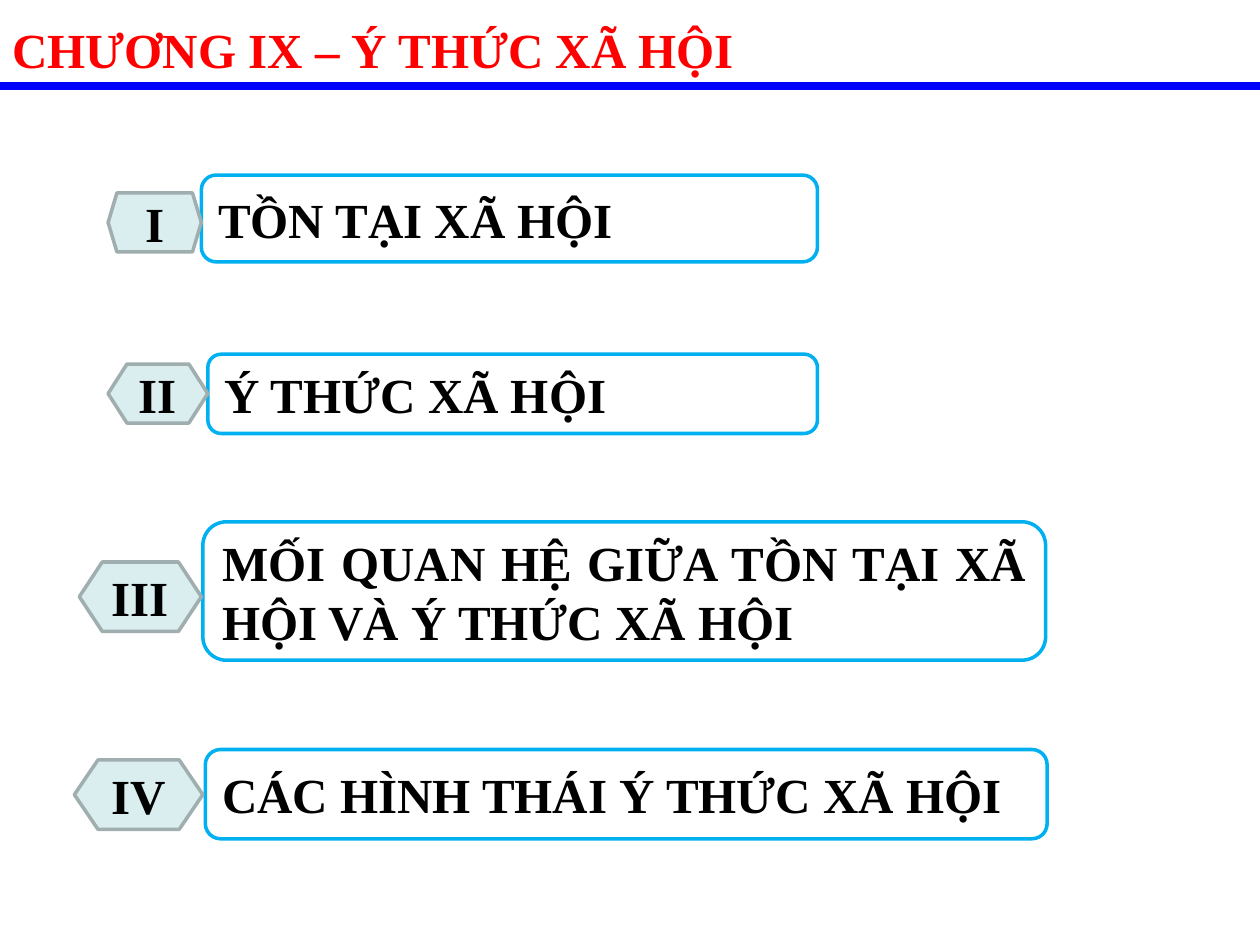
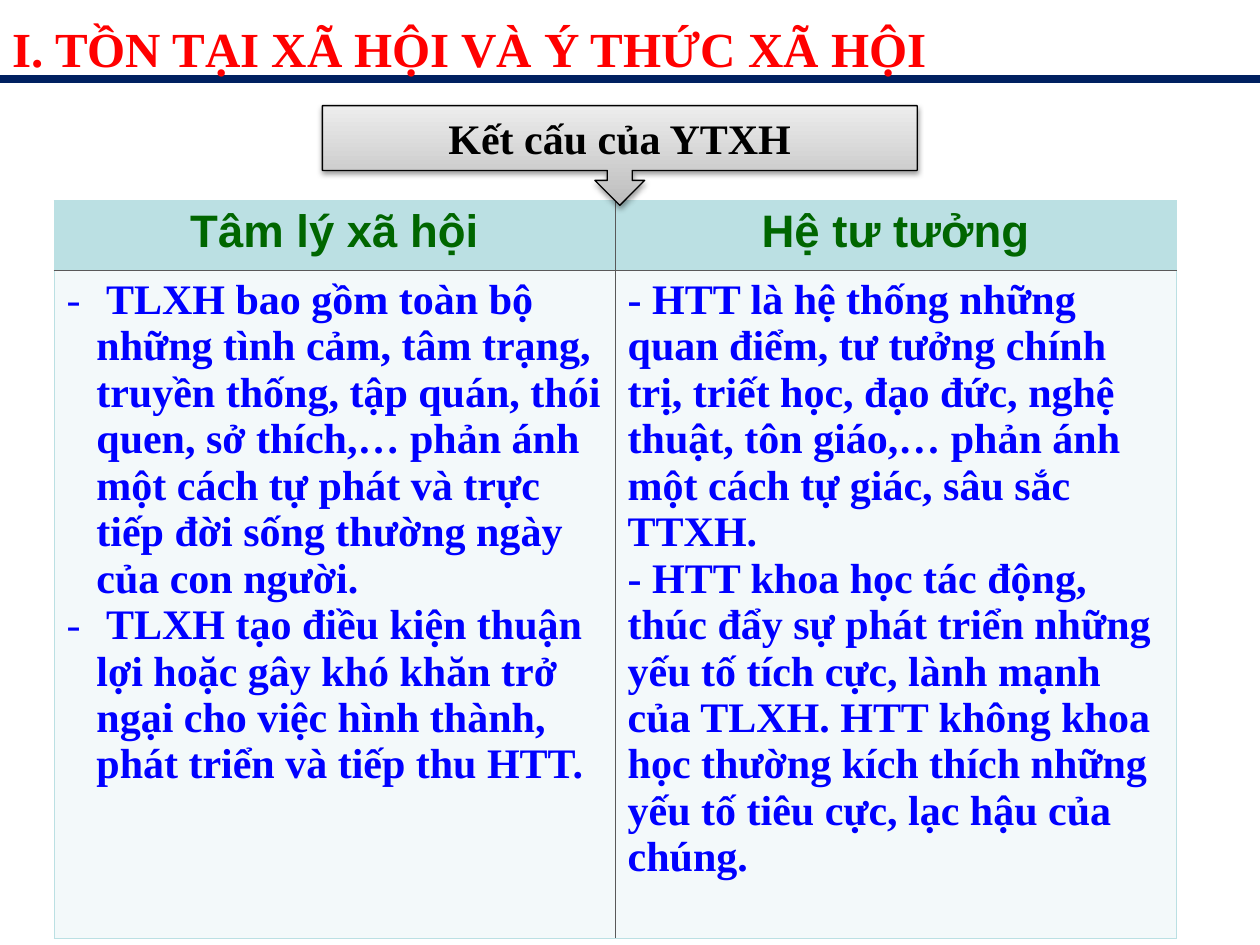
from lxml.etree import SubElement
from pptx import Presentation
from pptx.dml.color import RGBColor
from pptx.enum.shapes import MSO_CONNECTOR, MSO_SHAPE
from pptx.enum.text import MSO_ANCHOR, MSO_AUTO_SIZE, PP_ALIGN as Align
from pptx.oxml.ns import qn
from pptx.util import Cm, Pt

COLORS = {
    "title": "FF0000", "blue": "0000FF", "navy": "002060", "text": "000000",
    "box_fill": "FFFFFF", "box_line": "00B0F0",
    "number_fill": "DAEDEF", "number_line": "A0AEB0",
    "header_fill": "BBE0E3", "header_text": "006600", "body_fill": "F3F9FA",
    "inner_border": "595959", "gradient_dark": "BCBCBC", "gradient_light": "EDEDED",
}
RGB = {name: RGBColor.from_string(value) for name, value in COLORS.items()}
SERIF = "Times New Roman"

presentation = Presentation()
presentation.slide_width = Cm(25.4)
presentation.slide_height = Cm(19.05)


def format_text(text_frame, size, color, alignment, font_name=SERIF):
    for paragraph in text_frame.paragraphs:
        paragraph.alignment = alignment
        for run in paragraph.runs:
            run.font.name = font_name
            run.font.size = Pt(size)
            run.font.bold = True
            run.font.color.rgb = RGB[color]


def add_titled_slide(title_text, title_top, rule_top, rule_color):
    """Add a slide whose red title stands in front of a full-width rule."""
    slide = presentation.slides.add_slide(presentation.slide_layouts[5])
    title = slide.shapes.title
    title.left, title.top, title.width, title.height = Cm(0), Cm(title_top), Cm(25.4), Cm(1.68)
    text_frame = title.text_frame
    text_frame.text = title_text
    text_frame.auto_size = MSO_AUTO_SIZE.NONE
    text_frame.vertical_anchor = MSO_ANCHOR.TOP
    text_frame.paragraphs[0].line_spacing = 1.2
    format_text(text_frame, 28, "title", Align.JUSTIFY)

    rule = slide.shapes.add_connector(
        MSO_CONNECTOR.STRAIGHT, Cm(0), Cm(rule_top), Cm(25.4), Cm(rule_top))
    rule.line.color.rgb = RGB[rule_color]
    rule.line.width = Pt(4.5)
    SubElement(rule._element.spPr, qn("a:effectLst"))
    title._element.addprevious(rule._element)
    return slide


# Slide 1: chapter contents
slide = add_titled_slide("CHƯƠNG IX – Ý THỨC XÃ HỘI", 0.03, 1.73, "blue")

# Number, heading, heading box, number hexagon, hexagon point
sections = [
    ("I", "TỒN TẠI XÃ HỘI", (4.06, 3.53, 12.42, 1.75), (2.18, 3.89, 1.88, 1.19), 0.15),
    ("II", "Ý THỨC XÃ HỘI", (4.19, 7.14, 12.29, 1.6), (2.18, 7.34, 2.01, 1.19), 0.32),
    ("III", "MỐI QUAN HỆ GIỮA TỒN TẠI XÃ HỘI VÀ Ý THỨC XÃ HỘI",
     (4.09, 10.52, 16.99, 2.79), (1.6, 11.33, 2.46, 1.4), 0.33),
    ("IV", "CÁC HÌNH THÁI Ý THỨC XÃ HỘI",
     (4.14, 15.11, 16.97, 1.8), (1.5, 15.32, 2.59, 1.4), 0.34),
]
for number, heading, heading_place, number_place, point in sections:
    group = slide.shapes.add_group_shape()
    parts = [
        (MSO_SHAPE.ROUNDED_RECTANGLE, heading_place, 0.17, heading, "box", Align.JUSTIFY),
        (MSO_SHAPE.HEXAGON, number_place, point, number, "number", Align.CENTER),
    ]
    for kind, place, adjustment, text, role, alignment in parts:
        shape = group.shapes.add_shape(kind, *map(Cm, place))
        shape.adjustments[0] = adjustment
        shape.shadow.inherit = False
        shape.fill.solid()
        shape.fill.fore_color.rgb = RGB[role + "_fill"]
        shape.line.color.rgb = RGB[role + "_line"]
        shape.line.width = Pt(2)
        shape.text_frame.text = text
        shape.text_frame.word_wrap = role == "box"
        shape.text_frame.vertical_anchor = MSO_ANCHOR.MIDDLE
        format_text(shape.text_frame, 28, "text", alignment)

# Slide 2: structure of social consciousness
slide = add_titled_slide("I. TỒN TẠI XÃ HỘI VÀ Ý THỨC XÃ HỘI", 0, 1.6, "navy")

headers = ["Tâm lý xã hội", "Hệ tư tưởng"]
bodies = [
    [" TLXH bao gồm toàn bộ những tình cảm, tâm trạng, truyền thống, tập quán, "
     "thói quen, sở thích,… phản ánh một cách tự phát và trực tiếp đời sống "
     "thường ngày của con người.",
     " TLXH tạo điều kiện thuận lợi hoặc gây khó khăn trở ngại cho việc hình thành, "
     "phát triển và tiếp thu HTT."],
    ["- HTT là hệ thống những quan điểm, tư tưởng chính trị, triết học, đạo đức, "
     "nghệ thuật, tôn giáo,… phản ánh một cách tự giác, sâu sắc TTXH.",
     "- HTT khoa học tác động, thúc đẩy sự phát triển những yếu tố tích cực, lành mạnh "
     "của TLXH. HTT không khoa học thường kích thích những yếu tố tiêu cực, lạc hậu "
     "của chúng."],
]
table = slide.shapes.add_table(2, 2, Cm(1.09), Cm(4.04), Cm(22.62), Cm(14.88)).table
table.horz_banding = False
table.rows[0].height = Cm(1.42)
table.rows[1].height = Cm(13.46)

for column in range(2):
    table.columns[column].width = Cm(11.31)
    for row in range(2):
        cell = table.cell(row, column)
        inner_sides = {"lnR" if column == 0 else "lnL", "lnB" if row == 0 else "lnT"}
        properties = cell._tc.get_or_add_tcPr()
        for side in ("lnL", "lnR", "lnT", "lnB"):
            inner = side in inner_sides
            border = SubElement(properties, qn("a:" + side), w=str(Pt(0.75 if inner else 0.45)))
            fill = SubElement(border, qn("a:solidFill"))
            SubElement(fill, qn("a:srgbClr"),
                       val=COLORS["inner_border" if inner else "header_fill"])
        cell.fill.solid()
        cell.fill.fore_color.rgb = RGB["body_fill" if row else "header_fill"]

    header = table.cell(0, column).text_frame
    header.text = headers[column]
    format_text(header, 26, "header_text", Align.CENTER, "Arial")

    body = table.cell(1, column).text_frame
    body.text = "\n".join(bodies[column])
    if column == 0:
        for paragraph in body.paragraphs:
            properties = paragraph._p.get_or_add_pPr()
            properties.set("marL", str(Cm(0.6)))
            properties.set("indent", str(-Cm(0.6)))
            bullet_color = SubElement(properties, qn("a:buClr"))
            SubElement(bullet_color, qn("a:srgbClr"), val=COLORS["blue"])
            SubElement(properties, qn("a:buFont"), typeface=SERIF)
            SubElement(properties, qn("a:buChar"), char="-")
    format_text(body, 24, "blue", Align.LEFT)

callout = slide.shapes.add_shape(
    MSO_SHAPE.DOWN_ARROW_CALLOUT, Cm(6.5), Cm(2.13), Cm(11.99), Cm(2.01))
for index, adjustment in enumerate((0.25, 0.25, 0.25, 0.65)):
    callout.adjustments[index] = adjustment
callout.fill.gradient()
callout.fill.gradient_angle = 90
for stop, position, color in zip(
        callout.fill.gradient_stops, (0, 1), ("gradient_dark", "gradient_light")):
    stop.position = position
    stop.color.rgb = RGB[color]
callout.line.color.rgb = RGB["text"]
callout.line.width = Pt(0.75)
callout.shadow.inherit = False
effects = callout._element.spPr.find(qn("a:effectLst"))
shadow = SubElement(effects, qn("a:outerShdw"), blurRad=str(Pt(3)), dist=str(Pt(1.6)),
                    dir="5400000", rotWithShape="0")
shadow_color = SubElement(shadow, qn("a:srgbClr"), val=COLORS["text"])
SubElement(shadow_color, qn("a:alpha"), val="38000")
callout.text_frame.text = "Kết cấu của YTXH"
callout.text_frame.word_wrap = True
callout.text_frame.vertical_anchor = MSO_ANCHOR.MIDDLE
format_text(callout.text_frame, 24, "text", Align.CENTER)

presentation.save("out.pptx")
